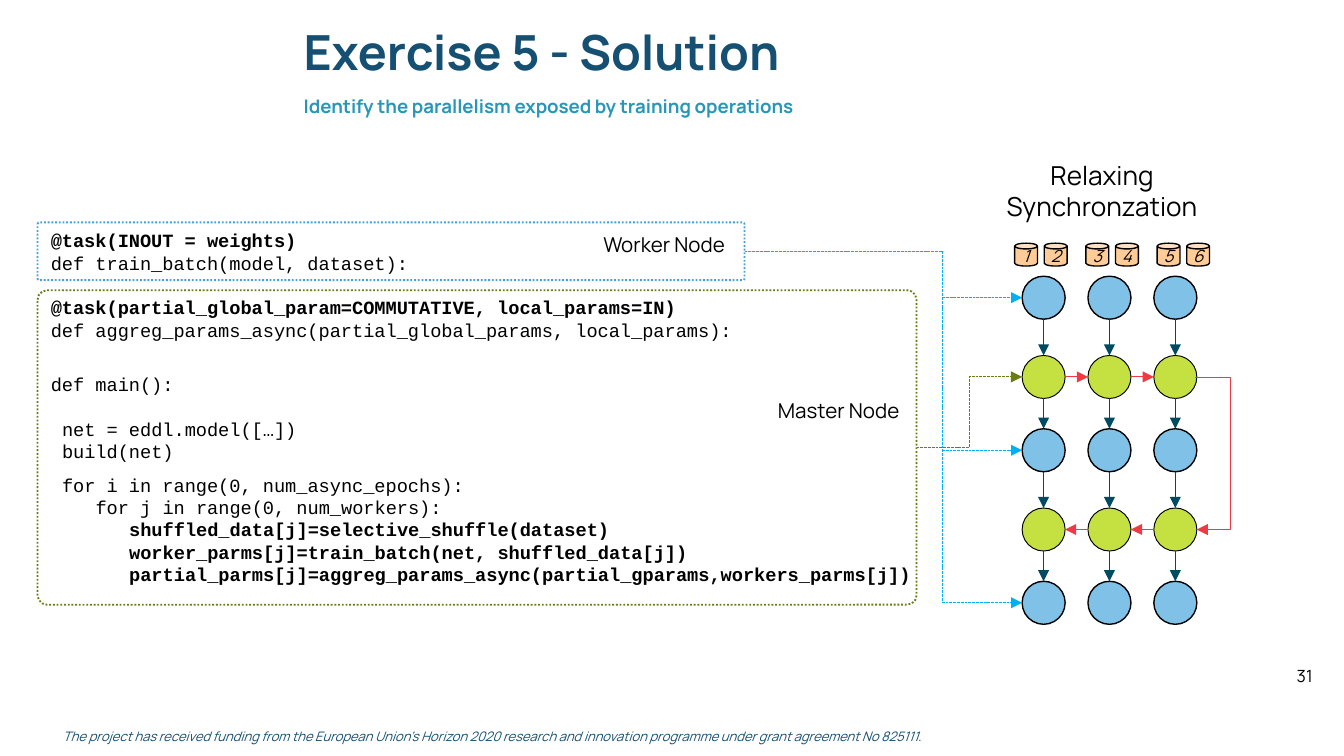
from dataclasses import dataclass

from lxml.etree import SubElement
from pptx import Presentation
from pptx.dml.color import RGBColor
from pptx.enum.dml import MSO_LINE
from pptx.enum.shapes import MSO_CONNECTOR as CONN, MSO_SHAPE as SHAPE
from pptx.enum.text import MSO_ANCHOR as ANCHOR, PP_ALIGN as ALIGN
from pptx.oxml.ns import qn
from pptx.util import Inches, Pt


@dataclass(frozen=True)
class Theme:
    font: str = "Manrope"
    mono: str = "Courier New"
    white: str = "FFFFFF"
    black: str = "000000"
    navy: str = "155073"
    teal: str = "2797B9"
    blue: str = "80C1E8"
    lime: str = "C5E041"
    peach: str = "FFCC98"
    flow: str = "004B62"
    sync: str = "EE3B42"
    worker: str = "41A3DC"
    worker_link: str = "00B0F0"
    master: str = "6B7C14"
    title: float = 25.9
    heading: float = 14
    label: float = 11
    body: float = 10
    small: float = 9
    footer: float = 7
    code_line: float = 12


class Board:
    """Draws styled elements on one slide, on a grid of 100 columns and 56.25 rows."""

    def __init__(self, prs, theme):
        self.t = theme
        self.col = prs.slide_width / 100
        self.row = prs.slide_height / 56.25
        self.s = prs.slides.add_slide(prs.slide_layouts[6])

    def place(self, x, y, w, h):
        return (round(x * self.col), round(y * self.row),
                round(w * self.col), round(h * self.row))

    def font(self, p, size, color, bold=False, italic=False, name=None):
        for r in p.runs:
            f = r.font
            f.name, f.size, f.bold, f.italic = name or self.t.font, Pt(size), bold, italic
            f.color.rgb = RGBColor.from_string(color)

    def text(self, box, text, size, color=Theme.black, left=None, spacing=None,
             align=ALIGN.LEFT, **style):
        tf = self.s.shapes.add_textbox(*self.place(*box)).text_frame
        tf.word_wrap = True
        if left is not None:
            tf.margin_left = left
        p = tf.paragraphs[0]
        p.text, p.alignment = text, align
        if spacing:
            p.line_spacing = spacing
        self.font(p, size, color, **style)

    def shape(self, kind, box, fill=None, line=None, width=0.75, dash=None):
        sp = self.s.shapes.add_shape(kind, *self.place(*box))
        sp.shadow.inherit = False
        if fill:
            sp.fill.solid()
            sp.fill.fore_color.rgb = RGBColor.from_string(fill)
        else:
            sp.fill.background()
        if line:
            sp.line.color.rgb = RGBColor.from_string(line)
            sp.line.width = Pt(width)
            sp.line.dash_style = dash
        else:
            sp.line.fill.background()
        return sp

    def frame(self, box, color):
        sp = self.shape(SHAPE.ROUNDED_RECTANGLE, box, None, color, 1, MSO_LINE.ROUND_DOT)
        sp.adjustments[0] = 0.03

    def can(self, x, y, size, text):
        sp = self.shape(SHAPE.CAN, (x, y, size, size), self.t.peach, self.t.black)
        tf = sp.text_frame
        tf.margin_left = tf.margin_right = tf.margin_top = tf.margin_bottom = 0
        tf.word_wrap, tf.vertical_anchor = False, ANCHOR.MIDDLE
        p = tf.paragraphs[0]
        p.text, p.alignment = text, ALIGN.CENTER
        self.font(p, self.t.small, self.t.black, italic=True)

    def code(self, box, lines):
        tf = self.shape(SHAPE.RECTANGLE, box, self.t.white).text_frame
        tf.word_wrap, tf.vertical_anchor = True, ANCHOR.TOP
        for i, (before, indent, bold, text) in enumerate(lines):
            p = tf.add_paragraph() if i else tf.paragraphs[0]
            p.text, p.alignment = text, ALIGN.LEFT
            p.line_spacing, p.space_before = Pt(self.t.code_line), Pt(before)
            p._p.get_or_add_pPr().set("marL", str(Pt(indent * self.t.body * 0.6)))
            self.font(p, self.t.body, self.t.black, bold, name=self.t.mono)

    def arrow(self, start, end, color, via=None, dash=None):
        kind = CONN.STRAIGHT if via is None else CONN.ELBOW
        c = self.s.shapes.add_connector(kind, *self.place(*start, *end))
        c.line.color.rgb = RGBColor.from_string(color)
        c.line.width, c.line.dash_style = Pt(0.5), dash
        SubElement(c.line._get_or_add_ln(), qn("a:tailEnd"), type="triangle")
        spPr = c._element.spPr
        SubElement(spPr, qn("a:effectLst"))
        if via is not None:
            share = round((via - start[0]) / (end[0] - start[0]) * 100000)
            SubElement(spPr.find(".//" + qn("a:avLst")), qn("a:gd"),
                       name="adj1", fmla=f"val {share}")


CODE = [
    (0, 0, True, "@task(INOUT = weights)"),
    (0, 0, False, "def train_batch(model, dataset):"),
    (12, 0, True, "@task(partial_global_param=COMMUTATIVE, local_params=IN)"),
    (0, 0, False, "def aggreg_params_async(partial_global_params, local_params):"),
    (17, 0, False, "def main():"),
    (12, 1, False, "net = eddl.model([…])"),
    (0, 1, False, "build(net)"),
    (6, 1, False, "for i in range(0, num_async_epochs):"),
    (0, 4, False, "for j in range(0, num_workers):"),
    (0, 7, True, "shuffled_data[j]=selective_shuffle(dataset)"),
    (0, 7, True, "worker_parms[j]=train_batch(net, shuffled_data[j])"),
    (0, 7, True, "partial_parms[j]=aggreg_params_async(partial_gparams,workers_parms[j])"),
]
COLS, ROWS, NODE = 3, 5, 3.2


def node_at(c, r):
    return 76.05 + 4.9 * c, 20.55 + 11.35 * (r // 2) + 5.9 * (r % 2)


def port(c, r, dx, dy):
    x, y = node_at(c, r)
    return x + NODE * dx, y + NODE * dy


def draw_graph(b):
    t = b.t
    for i in range(2 * COLS):
        pair, side = divmod(i, 2)
        b.can(75.5 + 5.3 * pair + 2.2 * side, 18.1, 1.7, str(i + 1))
    for r in range(ROWS):
        fill, width = (t.lime, 0.5) if r % 2 else (t.blue, 0.75)
        for c in range(COLS):
            b.shape(SHAPE.OVAL, (*node_at(c, r), NODE, NODE), fill, t.black, width)
            if r:
                b.arrow(port(c, r - 1, 0.5, 1), port(c, r, 0.5, 0), t.flow)
    for c in range(COLS - 1):
        b.arrow(port(c, 1, 1, 0.5), port(c + 1, 1, 0, 0.5), t.sync)
        b.arrow(port(c + 1, 3, 0, 0.5), port(c, 3, 1, 0.5), t.sync)
    x, y = port(COLS - 1, 3, 1, 0.5)
    b.arrow((x - 0.1, port(COLS - 1, 1, 1, 0.5)[1]), (x, y), t.sync, via=91.6)


def draw_links(b):
    t = b.t
    b.frame((2.8, 21.6, 65.4, 23.4), t.master)
    b.text((56.9, 29.1, 11.3, 2.9), "Master Node", t.label)
    b.arrow((68.2, 33.3), port(0, 1, 0, 0.5), t.master, 72.1, MSO_LINE.SQUARE_DOT)
    b.frame((2.8, 16.55, 52.6, 4.3), t.worker)
    b.text((43.9, 16.75, 11.5, 2.9), "Worker Node", t.label)
    for r in range(0, ROWS, 2):
        b.arrow((55.4, 18.7), port(0, r, 0, 0.5), t.worker_link, 70.15, MSO_LINE.SQUARE_DOT)


def main():
    prs = Presentation()
    prs.slide_width, prs.slide_height = Inches(10), Inches(10) * 9 // 16
    t = Theme()
    b = Board(prs, t)
    b.text((95.5, 49.05, 3.8, 2.5), "31", t.small)
    b.text((3.7, 53.7, 67.4, 2.2),
           "The project has received funding from the European Union’s Horizon 2020 research "
           "and innovation programme under grant agreement No 825111.",
           t.footer, t.navy, italic=True)
    b.text((22.6, 2.35, 67, 4.3), "Exercise 5 - Solution", t.title, t.navy,
           left=0, spacing=0.7, bold=True)
    b.text((22.6, 6.75, 66.1, 2.4), "Identify the parallelism exposed by training operations",
           t.body, t.teal, left=0, spacing=0.9, bold=True)
    b.code((2.8, 16.55, 67, 33.8), CODE)
    b.text((71.2, 11.35, 21.6, 5.7), "Relaxing Synchronzation", t.heading, align=ALIGN.CENTER)
    draw_graph(b)
    draw_links(b)
    prs.save("out.pptx")


if __name__ == "__main__":
    main()
